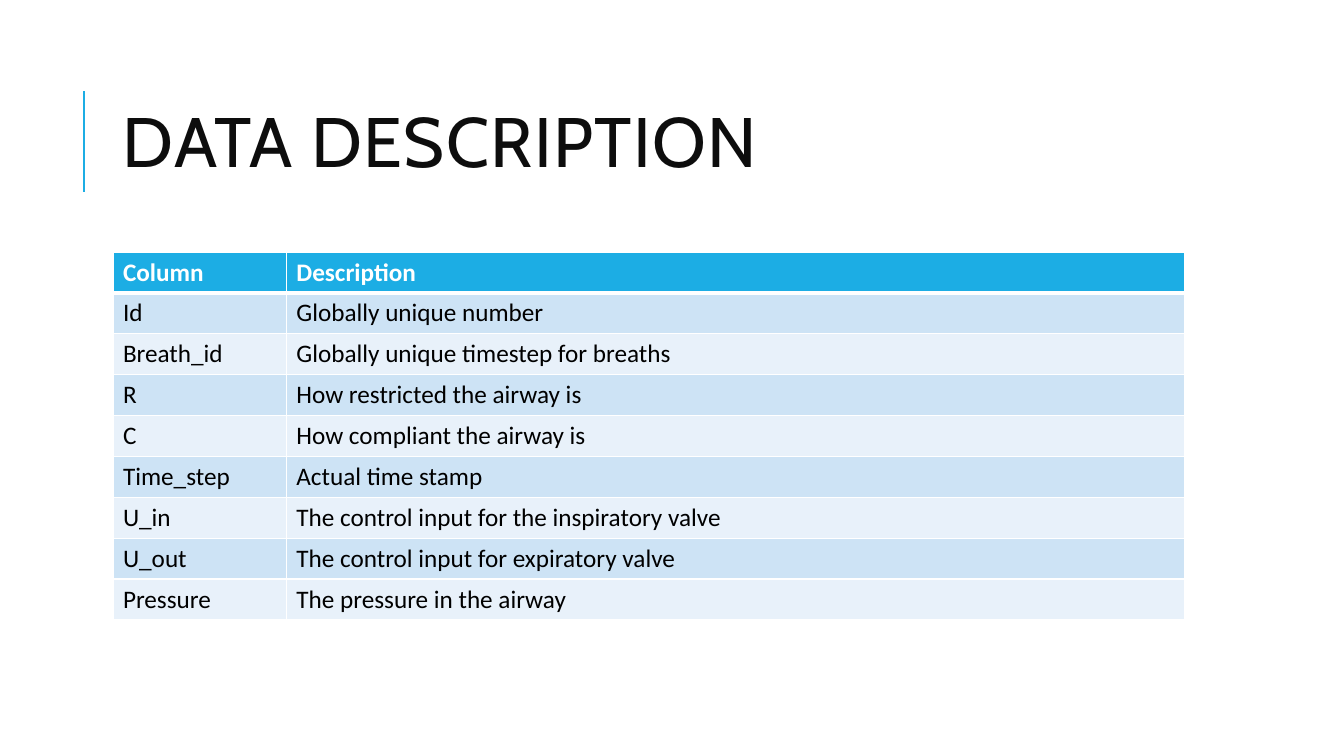
from lxml import etree
from pptx import Presentation
from pptx.dml.color import RGBColor
from pptx.enum.shapes import MSO_CONNECTOR
from pptx.enum.text import MSO_ANCHOR
from pptx.oxml.ns import qn
from pptx.util import Inches, Pt

STRAIGHT = MSO_CONNECTOR.STRAIGHT
MIDDLE = MSO_ANCHOR.MIDDLE

WHITE = RGBColor(0xFF, 0xFF, 0xFF)
BLACK = RGBColor(0x00, 0x00, 0x00)
INK = RGBColor(0x0D, 0x0D, 0x0D)
ACCENT = RGBColor(0x1C, 0xAD, 0xE4)
BANDS = [RGBColor(0xCD, 0xE3, 0xF5), RGBColor(0xE8, 0xF1, 0xFA)]

DATA_COLUMNS = [
    ("Column", "Description"),
    ("Id", "Globally unique number"),
    ("Breath_id", "Globally unique timestep for breaths"),
    ("R", "How restricted the airway is"),
    ("C", "How compliant the airway is"),
    ("Time_step", "Actual time stamp"),
    ("U_in", "The control input for the inspiratory valve"),
    ("U_out", "The control input for expiratory valve"),
    ("Pressure", "The pressure in the airway"),
]


class SlideBuilder:
    title_font = "Cabin"
    body_font = "Calibri"

    def __init__(self, slide):
        self.slide = slide

    def style(self, paragraph, font, size, color, bold=False):
        paragraph.font.name = font
        paragraph.font.size = Pt(size)
        paragraph.font.color.rgb = color
        paragraph.font.bold = bold

    def rule(self, x, start, end):
        accent_rule = self.slide.shapes.add_connector(
            STRAIGHT, Inches(x), Inches(start), Inches(x), Inches(end))
        accent_rule.line.color.rgb = ACCENT
        accent_rule.line.width = Pt(1.5)
        etree.SubElement(accent_rule._element.spPr, qn("a:effectLst"))

    def title(self, text, left, top, width, height):
        frame = self.slide.shapes.add_textbox(
            Inches(left), Inches(top), Inches(width), Inches(height)).text_frame
        frame.word_wrap = True
        frame.vertical_anchor = MIDDLE
        heading = frame.paragraphs[0]
        heading.line_spacing = 0.8
        self.style(heading, self.title_font, 50, INK)
        run = heading.add_run()
        run.text = text
        run._r.get_or_add_rPr().set("spc", "100")

    def border(self, cell, side, points):
        edge = etree.SubElement(cell._tc.get_or_add_tcPr(), qn(f"a:ln{side}"), w=str(Pt(points)))
        fill = etree.SubElement(edge, qn("a:solidFill"))
        etree.SubElement(fill, qn("a:srgbClr"), val=str(WHITE))

    def table(self, rows, left, top, widths, height):
        grid = self.slide.shapes.add_table(
            len(rows), len(widths), Inches(left), Inches(top),
            Inches(sum(widths)), Inches(height)).table
        for column, width in zip(grid.columns, widths):
            column.width = Inches(width)
        for r, row in enumerate(rows):
            header = r == 0
            for c, text in enumerate(row):
                cell = grid.cell(r, c)
                cell.text = text
                self.style(cell.text_frame.paragraphs[0], self.body_font, 18,
                           WHITE if header else BLACK, header)
                for side in "LRTB":
                    thick = (header and side == "B") or (r == 1 and side == "T")
                    self.border(cell, side, 3 if thick else 1)
                cell.fill.solid()
                cell.fill.fore_color.rgb = ACCENT if header else BANDS[(r - 1) % 2]


def main():
    deck = Presentation()
    deck.slide_width = Inches(13.33)
    deck.slide_height = Inches(7.5)
    builder = SlideBuilder(deck.slides.add_slide(deck.slide_layouts[6]))
    builder.rule(0.83, 1.9, 0.9)
    builder.title("DATA DESCRIPTION", 1.12, 0.64, 10.63, 1.64)
    builder.table(DATA_COLUMNS, 1.12, 2.5, [1.72, 8.91], 3.65)
    deck.save("out.pptx")


if __name__ == "__main__":
    main()
